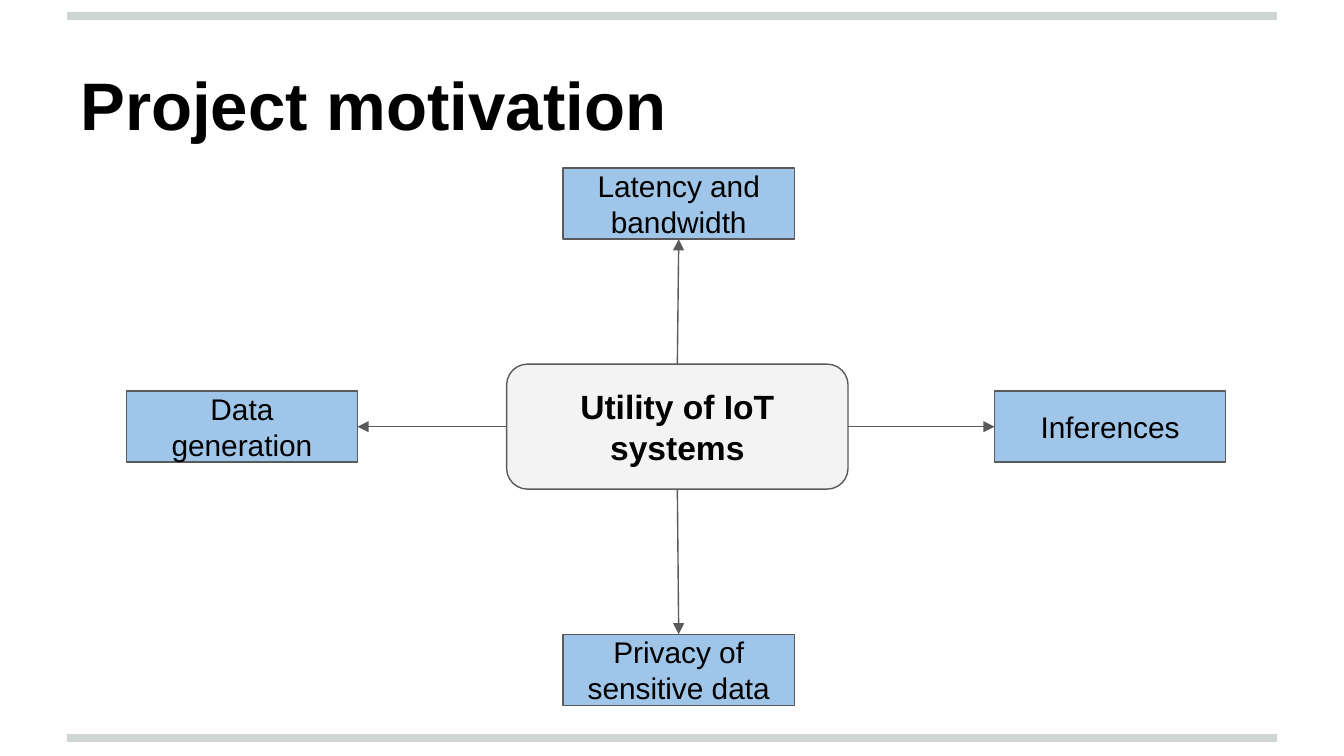
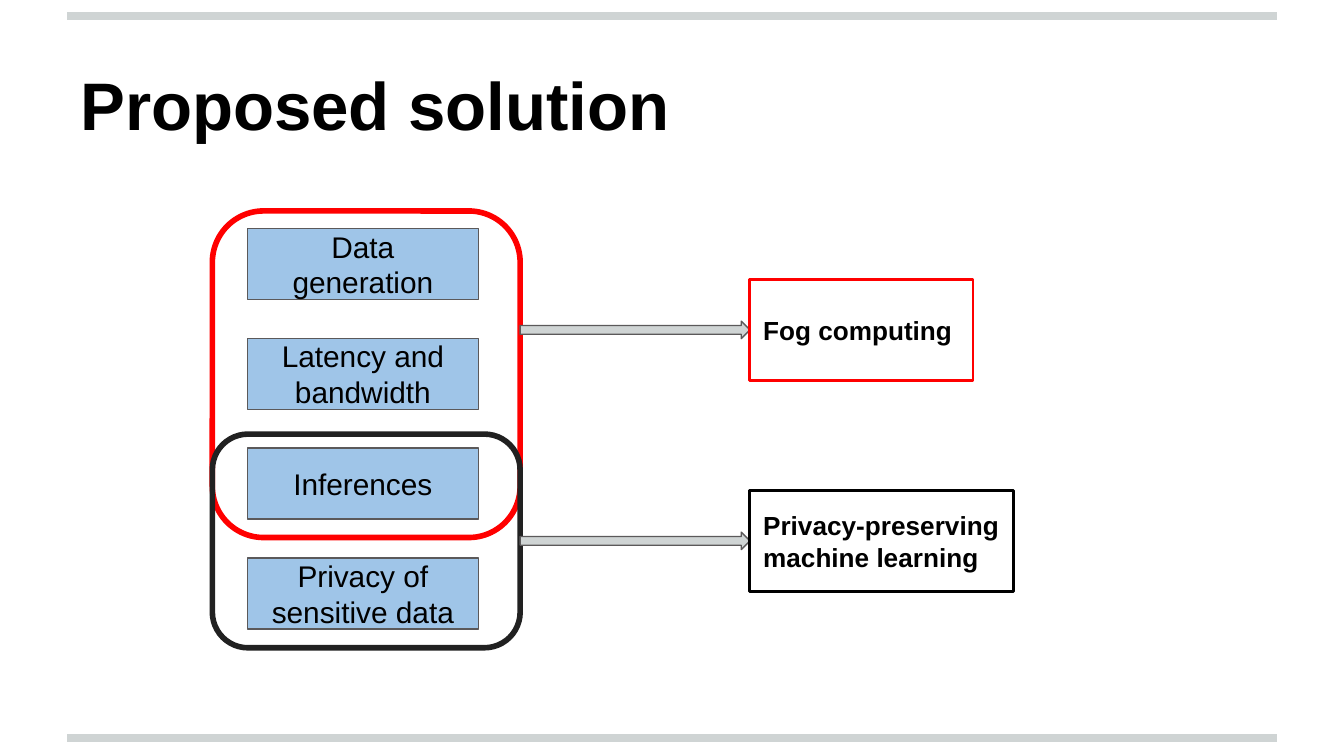
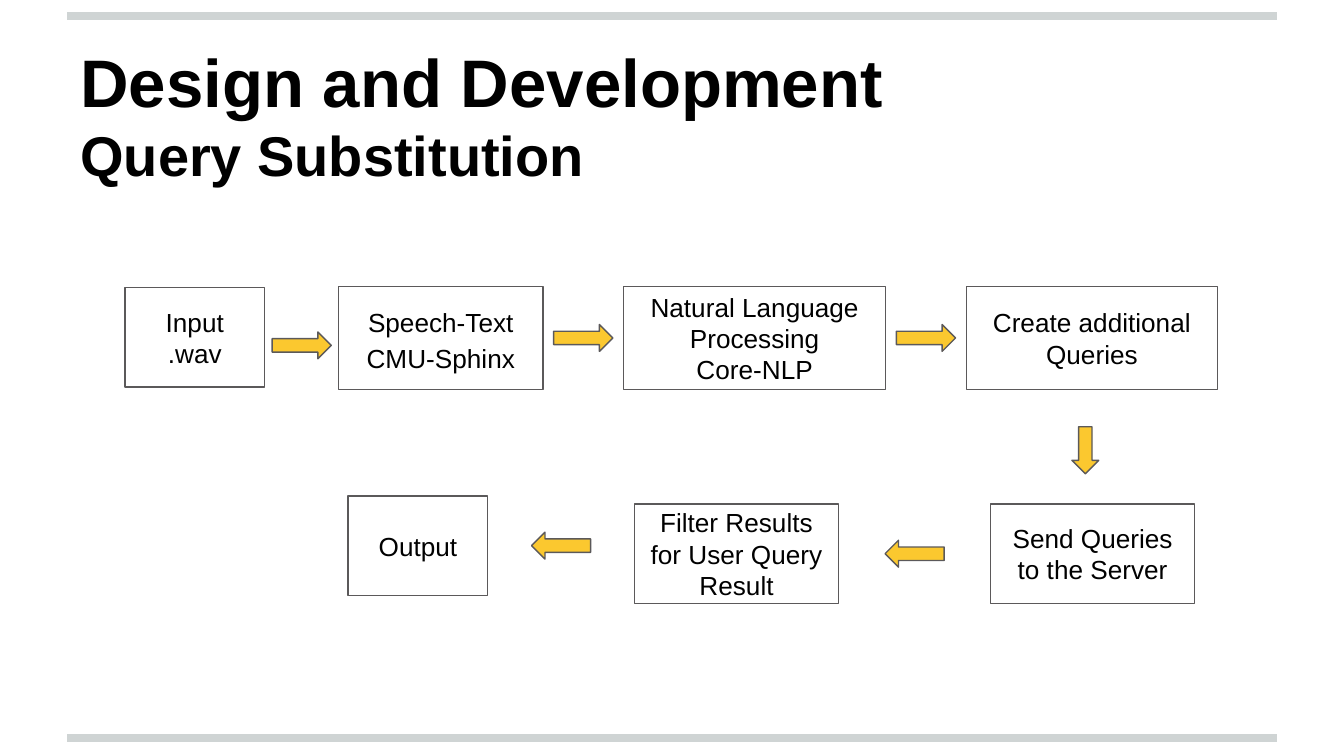
"""Build three slides on fog computing and privacy for IoT systems."""

from dataclasses import dataclass, replace
from typing import Optional

from pptx import Presentation
from pptx.dml.color import RGBColor
from pptx.enum.shapes import MSO_CONNECTOR, MSO_SHAPE
from pptx.enum.text import MSO_ANCHOR, PP_ALIGN
from pptx.oxml.ns import qn
from pptx.shapes.autoshape import Shape
from pptx.shapes.connector import Connector
from pptx.slide import Slide
from pptx.text.text import TextFrame
from pptx.util import Emu, Inches, Pt
from lxml.etree import SubElement

CELL = Inches(0.1)
COLUMNS, ROWS = 100, 56.25
MARGIN = 5
BAND_ROWS = (54.9, 1.2)

BLACK = RGBColor(0, 0, 0)
CHARCOAL = RGBColor(0x21, 0x21, 0x21)
WHITE = RGBColor(0xFF, 0xFF, 0xFF)
OUTLINE = RGBColor(0x5B, 0x59, 0x5A)
BAND = RGBColor(0xCF, 0xD4, 0xD4)
PALE = RGBColor(0xF3, 0xF3, 0xF3)
BLUE = RGBColor(0x9F, 0xC5, 0xE8)
RED = RGBColor(0xFF, 0, 0)
AMBER = RGBColor(0xFB, 0xC8, 0x2F)
FONT = "Arial"

TOP, LEFT, BOTTOM, RIGHT = range(4)


@dataclass(frozen=True)
class Area:
    """A rectangle in grid columns and rows."""

    left: float
    top: float
    width: float
    height: float

    @property
    def right(self) -> float:
        """Return the column of the right edge."""
        return self.left + self.width

    @property
    def center(self) -> float:
        """Return the column of the centre."""
        return self.left + self.width / 2

    @property
    def middle(self) -> float:
        """Return the row of the centre."""
        return self.top + self.height / 2


@dataclass(frozen=True)
class Style:
    """The look of a box and its text."""

    fill: Optional[RGBColor] = WHITE
    line: RGBColor = OUTLINE
    weight: float = 0.75
    size: float = 14
    bold: bool = False
    align: PP_ALIGN = PP_ALIGN.CENTER
    preset: MSO_SHAPE = MSO_SHAPE.RECTANGLE


@dataclass(frozen=True)
class Step:
    """One stage of the query flow."""

    lines: tuple[str, ...]
    area: Area
    spacing: Optional[float] = None


@dataclass(frozen=True)
class Turn:
    """An arrow leading from one stage to the next."""

    rotation: int = 0
    length: float = 4.4
    shift_columns: float = 0
    shift_rows: float = 0


@dataclass(frozen=True)
class Solution:
    """A group of concerns and the technique that answers it."""

    name: str
    frame: Area
    frame_color: RGBColor
    area: Area
    color: RGBColor


HUB = Style(fill=PALE, size=18, bold=True, preset=MSO_SHAPE.ROUNDED_RECTANGLE)
CONCERN = Style(fill=BLUE, size=16)
FRAME = Style(fill=None, weight=3, preset=MSO_SHAPE.ROUNDED_RECTANGLE)
OUTCOME = Style(fill=None, weight=1.5, bold=True, align=PP_ALIGN.LEFT)
STAGE = Style()
LINK_ARROW = Style(fill=BAND, preset=MSO_SHAPE.RIGHT_ARROW)
FLOW_ARROW = Style(fill=AMBER, preset=MSO_SHAPE.RIGHT_ARROW)

CONCERN_WIDTH, CONCERN_HEIGHT = 17.2, 5.3
GENERATION, LATENCY = "Data generation", "Latency and bandwidth"
INFERENCES, PRIVACY = "Inferences", "Privacy of sensitive data"

HUB_AREA = Area(37.7, 27.1, 25.4, 9.3)
SPOKES = (
    (GENERATION, 9.4, 29.1, LEFT),
    (LATENCY, 41.9, 12.5, TOP),
    (INFERENCES, 74, 29.1, RIGHT),
    (PRIVACY, 41.9, 47.2, BOTTOM),
)
OPPOSITE = {LEFT: RIGHT, RIGHT: LEFT, TOP: BOTTOM, BOTTOM: TOP}

SOLUTIONS = (
    Solution("Fog computing", Area(15.8, 15.7, 22.9, 24.3), RED,
             Area(55.8, 20.8, 16.6, 7.5), RED),
    Solution("Privacy-preserving machine learning", Area(15.8, 32.3, 22.9, 15.9), CHARCOAL,
             Area(55.8, 36.5, 19.6, 7.5), BLACK),
)
STACK_LEFT, STACK_TOP, STACK_PITCH = 18.4, 17, 8.17
LINK_HEIGHT, TURN_HEIGHT = 1.3, 2

STEPS = (
    Step(("Input", ".wav"), Area(9.3, 21.4, 10.4, 7.4)),
    Step(("Speech-Text", "CMU-Sphinx"), Area(25.2, 21.3, 15.2, 7.7), 1.15),
    Step(("Natural Language Processing", "Core-NLP"), Area(46.4, 21.3, 19.5, 7.7)),
    Step(("Create additional Queries",), Area(71.9, 21.3, 18.7, 7.7)),
    Step(("Send Queries to the Server",), Area(73.7, 37.5, 15.2, 7.4)),
    Step(("Filter Results for User Query Result",), Area(47.2, 37.5, 15.2, 7.4)),
    Step(("Output",), Area(25.9, 36.9, 10.4, 7.4)),
)
TURNS = (
    Turn(shift_rows=0.55),
    Turn(),
    Turn(),
    Turn(rotation=90, length=3.5, shift_columns=-0.55, shift_rows=-7.7),
    Turn(rotation=180),
    Turn(rotation=180),
)


def cells(count: float) -> Emu:
    """Convert a number of grid cells to a length."""
    return Emu(round(count * CELL))


def place(area: Area) -> tuple[Emu, Emu, Emu, Emu]:
    """Return left, top, width and height as lengths."""
    return cells(area.left), cells(area.top), cells(area.width), cells(area.height)


def prepare_frame(frame: TextFrame, anchor: MSO_ANCHOR) -> None:
    """Set wrapping, insets and anchor of a text frame."""
    frame.word_wrap = True
    frame.vertical_anchor = anchor
    frame.margin_left = frame.margin_right = cells(1)
    frame.margin_top = frame.margin_bottom = cells(1)


def write_line(frame: TextFrame, index: int, text: str, size: float, bold: bool,
               align: PP_ALIGN, spacing: Optional[float] = None) -> None:
    """Write one paragraph as a single run."""
    paragraph = frame.add_paragraph() if index else frame.paragraphs[0]
    paragraph.alignment = align
    if spacing:
        paragraph.line_spacing = spacing
    run = paragraph.add_run()
    run.text = text
    run.font.name, run.font.size, run.font.bold = FONT, Pt(size), bold
    run.font.color.rgb = BLACK


def draw_box(slide: Slide, area: Area, style: Style, lines: tuple[str, ...] = (),
             spacing: Optional[float] = None) -> Shape:
    """Draw a preset shape with optional text."""
    box = slide.shapes.add_shape(style.preset, *place(area))
    box.shadow.inherit = False
    if style.fill is None:
        box.fill.background()
    else:
        box.fill.solid()
        box.fill.fore_color.rgb = style.fill
    box.line.color.rgb = style.line
    box.line.width = Pt(style.weight)
    prepare_frame(box.text_frame, MSO_ANCHOR.MIDDLE)
    for index, text in enumerate(lines):
        write_line(box.text_frame, index, text, style.size, style.bold, style.align, spacing)
    return box


def draw_line(slide: Slide, color: RGBColor, weight: float, row: float = 0) -> Connector:
    """Draw a straight line across the slide between the margins."""
    line = slide.shapes.add_connector(
        MSO_CONNECTOR.STRAIGHT, cells(MARGIN), cells(row), cells(COLUMNS - MARGIN), cells(row))
    line.line.color.rgb = color
    line.line.width = Pt(weight)
    SubElement(line._element.spPr, qn("a:effectLst"))
    return line


def join(slide: Slide, source: Shape, side: int, target: Shape) -> None:
    """Join two shapes with an arrow leaving from the given side."""
    arrow = draw_line(slide, OUTLINE, 0.75)
    arrow.begin_connect(source, side)
    arrow.end_connect(target, OPPOSITE[side])
    SubElement(arrow.line._get_or_add_ln(), qn("a:tailEnd"), type="triangle")


def start_slide(deck: Presentation, title: str, subtitle: str = "", top: float = 2.3) -> Slide:
    """Add a blank slide with bands and a title."""
    slide = deck.slides.add_slide(deck.slide_layouts[6])
    slide.background.fill.solid()
    slide.background.fill.fore_color.rgb = WHITE
    for row in BAND_ROWS:
        draw_line(slide, BAND, 4, row)
    heading = slide.shapes.add_textbox(*place(Area(MARGIN, top, COLUMNS - 2 * MARGIN, 9.4)))
    prepare_frame(heading.text_frame, MSO_ANCHOR.BOTTOM)
    write_line(heading.text_frame, 0, title, 36, True, PP_ALIGN.LEFT)
    if subtitle:
        write_line(heading.text_frame, 1, subtitle, 30, True, PP_ALIGN.LEFT)
    return slide


def draw_concern(slide: Slide, name: str, left: float, top: float) -> Shape:
    """Draw a blue box naming one concern."""
    return draw_box(slide, Area(left, top, CONCERN_WIDTH, CONCERN_HEIGHT), CONCERN, (name,))


def build_motivation(deck: Presentation) -> None:
    """Build the hub with its four concerns."""
    slide = start_slide(deck, "Project motivation")
    hub = draw_box(slide, HUB_AREA, HUB, ("Utility of IoT systems",))
    for name, left, top, side in SPOKES:
        join(slide, hub, side, draw_concern(slide, name, left, top))


def build_solution(deck: Presentation) -> None:
    """Build the grouped concerns and their solutions."""
    slide = start_slide(deck, "Proposed solution")
    for solution in SOLUTIONS:
        draw_box(slide, solution.frame, replace(FRAME, line=solution.frame_color))
    for index, name in enumerate((GENERATION, LATENCY, INFERENCES, PRIVACY)):
        draw_concern(slide, name, STACK_LEFT, STACK_TOP + index * STACK_PITCH)
    for solution in SOLUTIONS:
        start, area = solution.frame.right, solution.area
        link = Area(start, area.middle - LINK_HEIGHT / 2, area.left - start, LINK_HEIGHT)
        draw_box(slide, link, LINK_ARROW)
        draw_box(slide, area, replace(OUTCOME, line=solution.color), (solution.name,))


def turn_area(turn: Turn, source: Area, target: Area) -> Area:
    """Place an arrow between two stages, level with the target."""
    if turn.rotation == 90:
        column = target.center
    else:
        first, second = sorted((source, target), key=lambda area: area.left)
        column = (first.right + second.left) / 2
    return Area(column + turn.shift_columns - turn.length / 2,
                target.middle + turn.shift_rows - TURN_HEIGHT / 2, turn.length, TURN_HEIGHT)


def build_query_flow(deck: Presentation) -> None:
    """Build the flow of query substitution."""
    slide = start_slide(deck, "Design and Development", "Query Substitution", 5.6)
    for step in STEPS:
        draw_box(slide, step.area, STAGE, step.lines, step.spacing)
    for turn, source, target in zip(TURNS, STEPS, STEPS[1:]):
        arrow = draw_box(slide, turn_area(turn, source.area, target.area), FLOW_ARROW)
        arrow.rotation = turn.rotation


def main() -> None:
    """Build and save the presentation."""
    deck = Presentation()
    deck.slide_width, deck.slide_height = cells(COLUMNS), cells(ROWS)
    build_motivation(deck)
    build_solution(deck)
    build_query_flow(deck)
    deck.save("out.pptx")


if __name__ == "__main__":
    main()
